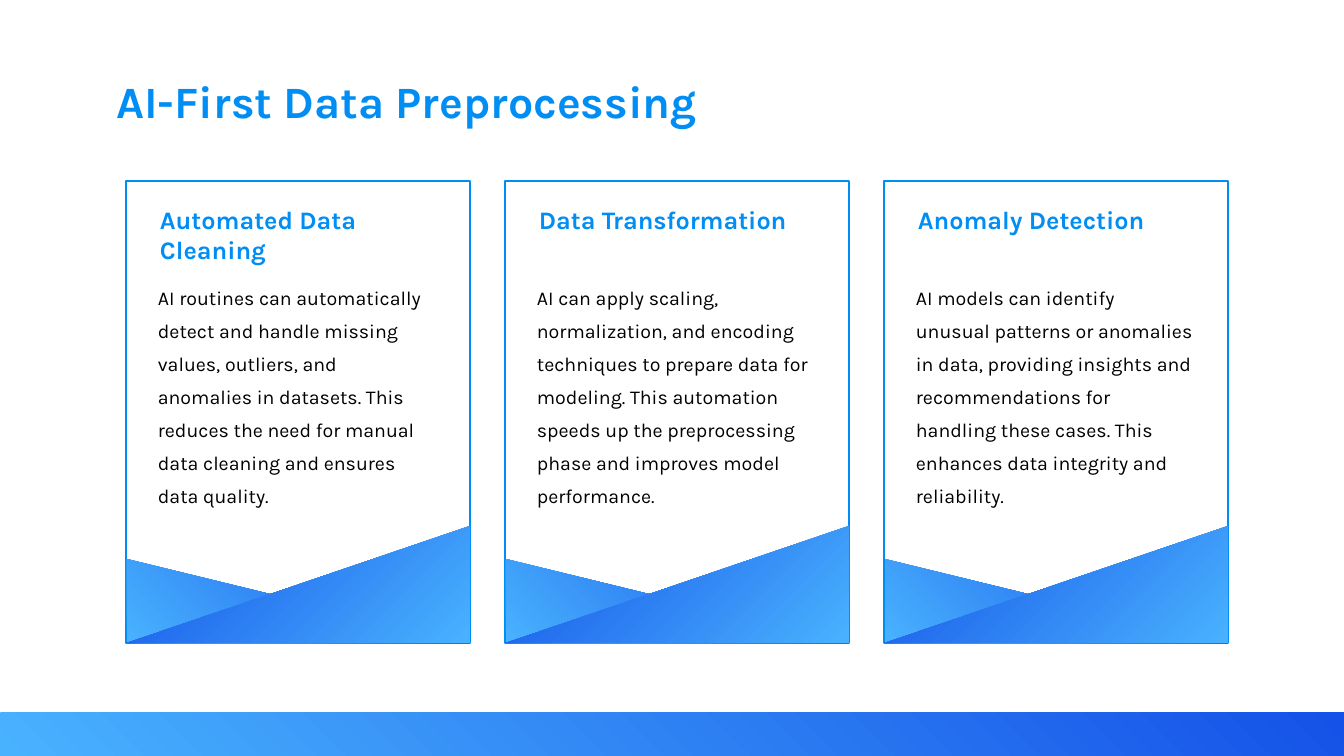
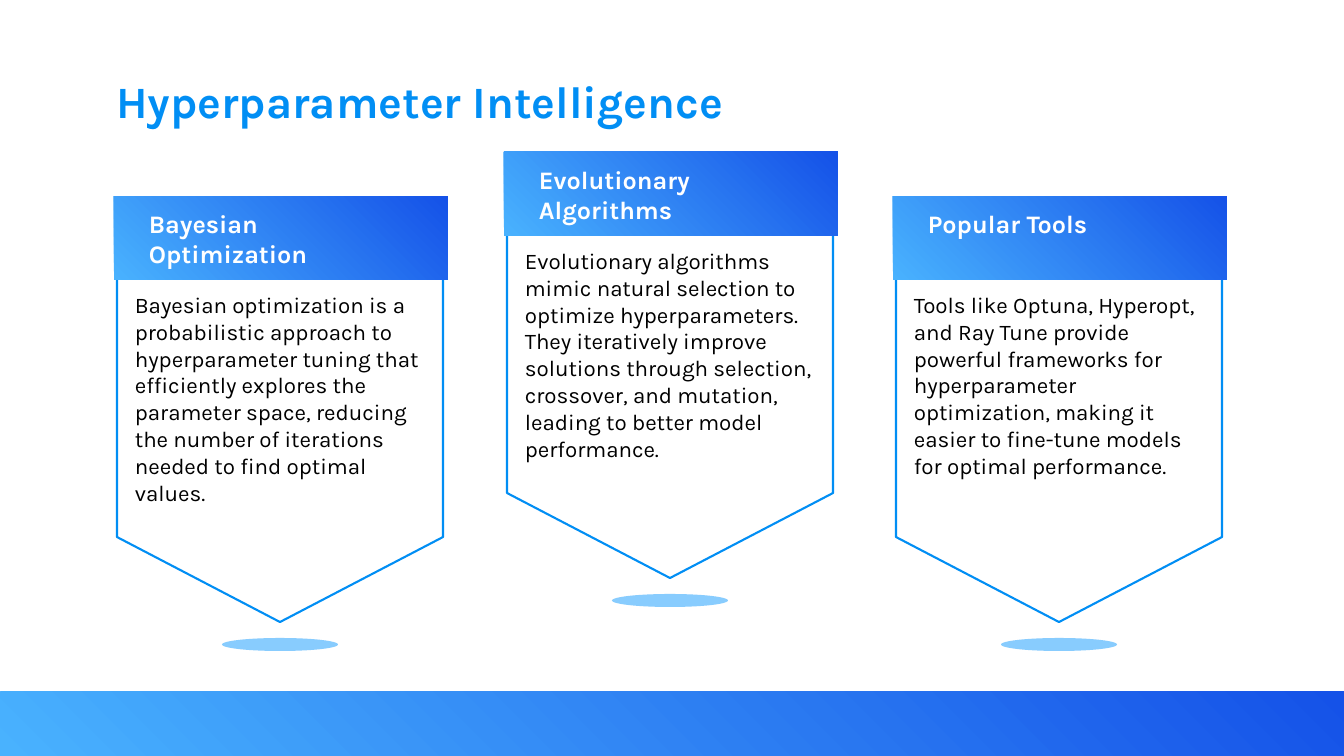
from lxml import etree
from pptx import Presentation
from pptx.dml.color import RGBColor
from pptx.enum.shapes import MSO_SHAPE
from pptx.enum.text import MSO_ANCHOR, MSO_AUTO_SIZE, PP_ALIGN
from pptx.oxml.ns import qn
from pptx.util import Pt

RECTANGLE = MSO_SHAPE.RECTANGLE
TRIANGLE = MSO_SHAPE.RIGHT_TRIANGLE
ELLIPSE = MSO_SHAPE.OVAL
TOP = MSO_ANCHOR.TOP
LEFT = PP_ALIGN.LEFT
NO_AUTOFIT = MSO_AUTO_SIZE.NONE

PX = 914400 / 100.8
FONT = "Karla"
BLUE = RGBColor(0x01, 0x8E, 0xF4)
SKY = RGBColor(0x49, 0xB2, 0xFE)
ROYAL = RGBColor(0x15, 0x52, 0xE8)
WHITE = RGBColor(0xFF, 0xFF, 0xFF)
BLACK = RGBColor(0x00, 0x00, 0x00)


def add_shape(page, kind, box, color=None):
    """Add an unlined shape, with the shared gradient unless a color is given."""
    shape = page.shapes.add_shape(kind, *[round(length * PX) for length in box])
    shape.shadow.inherit = False
    shape.line.fill.background()
    if color is None:
        shape.fill.gradient()
        shape.fill.gradient_angle = 45
        for stop, stop_color in zip(shape.fill.gradient_stops, (SKY, ROYAL)):
            stop.color.rgb = stop_color
    else:
        shape.fill.solid()
        shape.fill.fore_color.rgb = color
    return shape


def write_text(page, box, text, size, color, bold=False, spacing=None, holder=None):
    """Write one paragraph in the given placeholder or in a new text box."""
    holder = holder or page.shapes.add_textbox(0, 0, 0, 0)
    holder.left, holder.top, holder.width, holder.height = [
        round(length * PX) for length in box]
    frame = holder.text_frame
    frame.word_wrap = True
    frame.auto_size = NO_AUTOFIT
    frame.vertical_anchor = TOP
    frame.text = text
    para = frame.paragraphs[0]
    para.alignment = LEFT
    para.line_spacing = spacing
    para.font.name = FONT
    para.font.size = Pt(size)
    para.font.bold = bold
    para.font.color.rgb = color


deck = Presentation()
deck.slide_width = round(1344 * PX)
deck.slide_height = round(756 * PX)
title_only = deck.slide_layouts[5]

# Shared title and bottom band
pages = []
for title, band_height in (("AI-First Data Preprocessing", 43),
                           ("Hyperparameter Intelligence", 64)):
    page = deck.slides.add_slide(title_only)
    write_text(page, (106, 69, 1081, 60), title, 32, BLUE, bold=True,
               holder=page.shapes.title)
    add_shape(page, RECTANGLE, (0, 756 - band_height, 1344, band_height))
    pages.append(page)
preprocessing_page, tuning_page = pages

# Slide 1: three cards with folded corners
cards = (
    ("Automated Data Cleaning",
     "AI routines can automatically detect and handle missing values, outliers, "
     "and anomalies in datasets. This reduces the need for manual data cleaning "
     "and ensures data quality."),
    ("Data Transformation",
     "AI can apply scaling, normalization, and encoding techniques to prepare "
     "data for modeling. This automation speeds up the preprocessing phase and "
     "improves model performance."),
    ("Anomaly Detection",
     "AI models can identify unusual patterns or anomalies in data, providing "
     "insights and recommendations for handling these cases. This enhances data "
     "integrity and reliability."),
)
for column, (heading, body) in enumerate(cards):
    left = 126 + column * 379
    card = add_shape(preprocessing_page, RECTANGLE, (left, 181, 344, 462), WHITE)
    card.line.color.rgb = BLUE
    card.line.width = Pt(1.5)
    add_shape(preprocessing_page, TRIANGLE, (left + 1, 559, 343, 84))
    large_fold = add_shape(preprocessing_page, TRIANGLE, (left + 1, 526, 343, 117))
    large_fold.element.spPr.find(qn("a:xfrm")).set("flipH", "1")
    write_text(preprocessing_page, (left + 24, 199, 292, 66), heading, 18, BLUE, bold=True)
    write_text(preprocessing_page, (left + 22, 272, 297, 270), body, 14, BLACK, spacing=1.4)

# Slide 2: three pennants, the middle one raised
pennants = (
    ("Bayesian Optimization", 0,
     "Bayesian optimization is a probabilistic approach to hyperparameter tuning "
     "that efficiently explores the parameter space, reducing the number of "
     "iterations needed to find optimal values."),
    ("Evolutionary Algorithms", 44,
     "Evolutionary algorithms mimic natural selection to optimize "
     "hyperparameters. They iteratively improve solutions through selection, "
     "crossover, and mutation, leading to better model performance."),
    ("Popular Tools", 0,
     "Tools like Optuna, Hyperopt, and Ray Tune provide powerful frameworks for "
     "hyperparameter optimization, making it easier to fine-tune models for "
     "optimal performance."),
)
for column, (heading, rise, body) in enumerate(pennants):
    left = 117 + round(column * 389.6)
    top = 196 - rise
    outline = tuning_page.shapes.build_freeform(left, top + 45, scale=PX)
    outline.add_line_segments([(left + 326, top + 45), (left + 326, top + 341),
                               (left + 163, top + 426), (left, top + 341)])
    pennant = outline.convert_to_shape()
    pennant.shadow.inherit = False
    pennant.fill.solid()
    pennant.fill.fore_color.rgb = WHITE
    pennant.line.color.rgb = BLUE
    pennant.line.width = Pt(1.5)
    add_shape(tuning_page, RECTANGLE, (left - 3, top, 334, 84))
    ground = add_shape(tuning_page, ELLIPSE, (left + 105, top + 442, 116, 13), SKY)
    ground_color = ground.element.spPr.find(qn("a:solidFill"))[0]
    etree.SubElement(ground_color, qn("a:alpha"), val="65000")
    write_text(tuning_page, (left + 22, top + 7, 282, 66), heading, 18, WHITE, bold=True)
    write_text(tuning_page, (left + 8, top + 90, 310, 236), body, 16, BLACK)

deck.save("out.pptx")
